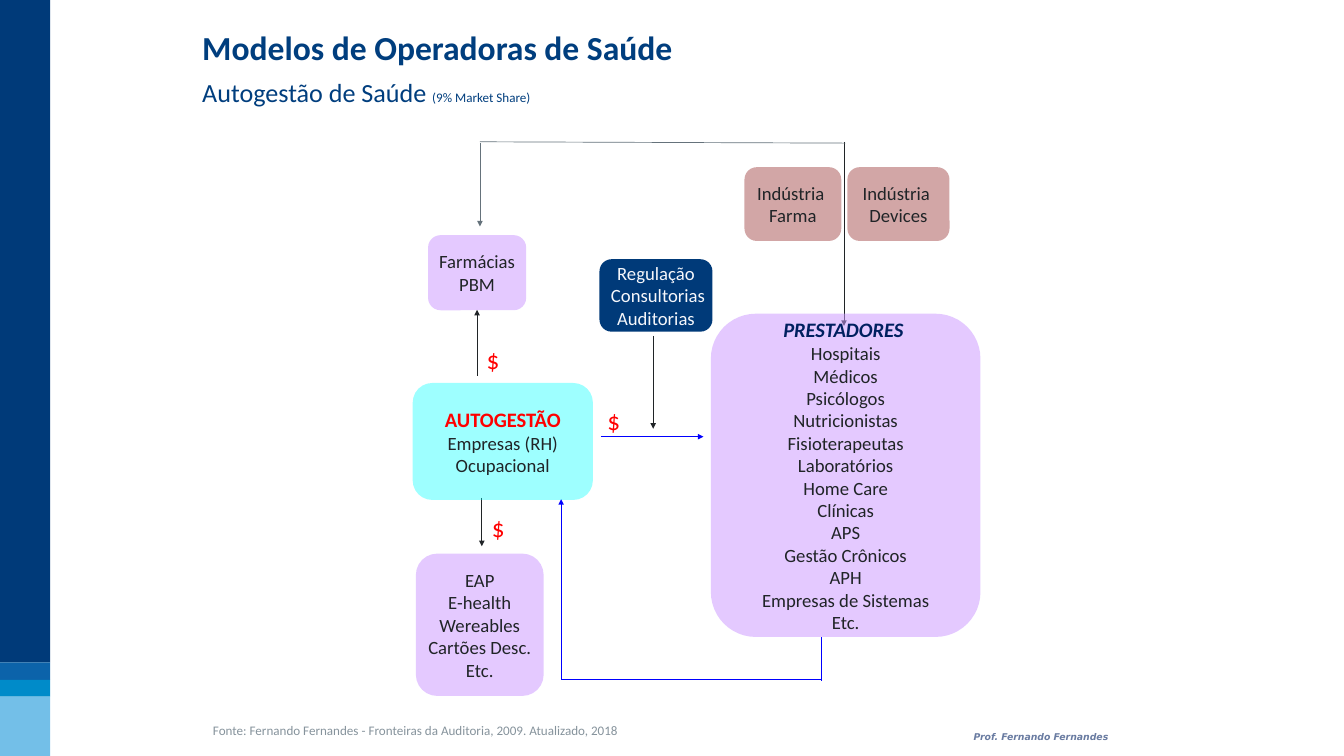
from lxml import etree
from pptx import Presentation, util as u
from pptx.dml.color import RGBColor
from pptx.enum import shapes, text
from pptx.oxml.ns import qn

NAVY, HEADING, INK, GREY, BLUE, RED = "003A79", "003E7E", "202427", "65727B", "0000FF", "FF0000"
LILAC, WINE, CYAN, DEEP = "CC99FF", "800000", "00FFFF", "002060"

sidebar = [(0, 25.04, NAVY), (25.04, 25.7, "0C63AA"), (25.7, 26.34, "008BC9"), (26.34, 28.58, "73BFE8")]
SIDEBAR_WIDTH = 1.9

BODY = {"size": 20, "name": "Calibri", "color": INK}
LIGHT = BODY | {"color": "F6F7FB"}
PAYER = BODY | {"size": 22, "color": RED, "bold": True}
PROVIDER = BODY | {"size": 22, "color": DEEP, "bold": True, "italic": True}
TITLE = {"size": 36, "name": "Calibri", "color": HEADING, "bold": True}
SUBTITLE = {"size": 28, "name": "Calibri", "color": HEADING, "bold": False}
SHARE = SUBTITLE | {"size": 14}
MONEY = {"size": 27, "name": "Calibri", "color": RED}
SOURCE = {"size": 14, "name": "Calibri", "color": "86939C"}
AUTHOR = {"size": 10, "name": "DejaVu Sans", "color": DEEP, "bold": True, "italic": True}

title = ((7.39, 0.89, 18.77, 1.8), [[("Modelos de Operadoras de Saúde", TITLE)]])
subtitle = ((7.39, 2.77, 13.49, 1.45), [[("Autogestão de Saúde ", SUBTITLE), ("(9% Market Share)", SHARE)]])

flows = [
    ((22.71, 16.51), (26.59, 16.51), BLUE, True),
    ((24.69, 12.7), (24.69, 16.21), INK, True),
    ((21.21, 25.68), (21.21, 18.87), BLUE, True),
    ((21.21, 25.68), (31.04, 25.68), BLUE, False),
    ((31.04, 25.73), (31.04, 24.1), BLUE, False),
    ((31.9, 5.36), (31.9, 12.32), INK, True),
    ((18.14, 5.36), (31.95, 5.41), GREY, False),
    ((18.14, 5.41), (18.14, 8.56), GREY, True),
    ((18.03, 14.2), (18.03, 11.71), INK, True),
    ((18.21, 18.82), (18.21, 20.65), INK, True),
]

actors = [
    ((15.6, 14.48, 6.81, 4.42), CYAN, 38, PAYER, BODY, ["AUTOGESTÃO", "Empresas (RH)", "Ocupacional"]),
    ((28.14, 6.32, 3.66, 2.79), WINE, 35, BODY, BODY, ["Indústria ", "Farma"]),
    ((32.03, 6.32, 3.86, 2.79), WINE, 35, BODY, BODY, ["Indústria ", "Devices"]),
    ((26.87, 11.86, 10.19, 12.22), LILAC, 52, PROVIDER, BODY,
     ["PRESTADORES ", "Hospitais", "Médicos", "Psicólogos", "Nutricionistas", "Fisioterapeutas",
      "Laboratórios", "Home Care", "Clínicas", "APS", "Gestão Crônicos", "APH",
      "Empresas de Sistemas", "Etc."]),
    ((16.18, 8.89, 3.71, 2.84), LILAC, 52, BODY, BODY, ["Farmácias", "PBM"]),
    ((15.72, 20.93, 4.83, 5.38), LILAC, 52, BODY, BODY,
     ["EAP", "E-health", "Wereables", "Cartões Desc.", "Etc."]),
    ((22.66, 9.8, 4.27, 2.74), NAVY, 100, LIGHT, LIGHT, ["Regulação", " Consultorias", "Auditorias"]),
]

payments = [(18.14, 12.9), (22.71, 15.19), (18.34, 19.25)]
source = ((7.8, 27.18, 15.98, 0.86),
          [[("Fonte: Fernando Fernandes - Fronteiras da Auditoria, 2009. Atualizado, 2018", SOURCE)]])
author = ((36.5, 27.51, 5.69, 0.69), [[("Prof. Fernando Fernandes", AUTHOR)]])


def cm(lengths):
    return [u.Cm(length) for length in lengths]


def paint(fill, color):
    fill.solid()
    fill.fore_color.rgb = RGBColor.from_string(color)


def fade(element, percent):
    for color in element.iter(qn("a:srgbClr")):
        etree.SubElement(color, qn("a:alpha"), val=str(percent * 1000))


def write(shape, paragraphs, align=text.PP_ALIGN.LEFT, anchor=text.MSO_ANCHOR.TOP):
    frame = shape.text_frame
    layout = {"word_wrap": False, "auto_size": text.MSO_AUTO_SIZE.NONE, "vertical_anchor": anchor}
    for key, value in layout.items():
        setattr(frame, key, value)
    for index, runs in enumerate(paragraphs):
        paragraph = frame.add_paragraph() if index else frame.paragraphs[0]
        paragraph.alignment = align
        paragraph.space_before = u.Pt(0)
        for words, style in runs:
            run = paragraph.add_run()
            run.text = words
            for key, value in style.items():
                if key == "color":
                    paint(run.font.fill, value)
                else:
                    setattr(run.font, key, u.Pt(value) if key == "size" else value)


def add_block(slide, preset, place, color, opacity=100):
    block = slide.shapes.add_shape(preset, *cm(place))
    block.shadow.inherit = False
    block.line.fill.background()
    paint(block.fill, color)
    if opacity < 100:
        fade(block.element.spPr, opacity)
    return block


def add_flow(slide, start, end, color, arrow):
    flow = slide.shapes.add_connector(shapes.MSO_CONNECTOR.STRAIGHT, *cm(start + end))
    paint(flow.line.fill, color)
    flow.line.width = u.Pt(0.75)
    properties = flow.element.spPr
    if arrow:
        etree.SubElement(properties.find(qn("a:ln")), qn("a:tailEnd"), type="triangle")
    etree.SubElement(properties, qn("a:effectLst"))


def add_label(slide, place, paragraphs, align=text.PP_ALIGN.LEFT):
    label = slide.shapes.add_textbox(*cm(place))
    write(label, paragraphs, align)
    return label


def main():
    deck = Presentation()
    deck.slide_width, deck.slide_height = cm((50.8, 28.58))
    slide = deck.slides.add_slide(deck.slide_layouts[0])

    for top, bottom, color in sidebar:
        add_block(slide, shapes.MSO_SHAPE.RECTANGLE, (0, top, SIDEBAR_WIDTH, bottom - top), color)

    for heading, (place, paragraphs) in zip(slide.placeholders, (title, subtitle)):
        heading.left, heading.top, heading.width, heading.height = cm(place)
        write(heading, paragraphs)

    for flow in flows:
        add_flow(slide, *flow)

    for place, color, opacity, first, rest, names in actors:
        actor = add_block(slide, shapes.MSO_SHAPE.ROUNDED_RECTANGLE, place, color, opacity)
        lines = [[(name, rest if index else first)] for index, name in enumerate(names)]
        write(actor, lines, text.PP_ALIGN.CENTER, text.MSO_ANCHOR.MIDDLE)

    for corner in payments:
        add_label(slide, corner + (0.86, 1.02), [[("$", MONEY)]])

    add_label(slide, *source)
    fade(add_label(slide, *author, text.PP_ALIGN.CENTER).element, 59)
    deck.save("out.pptx")


if __name__ == "__main__":
    main()
